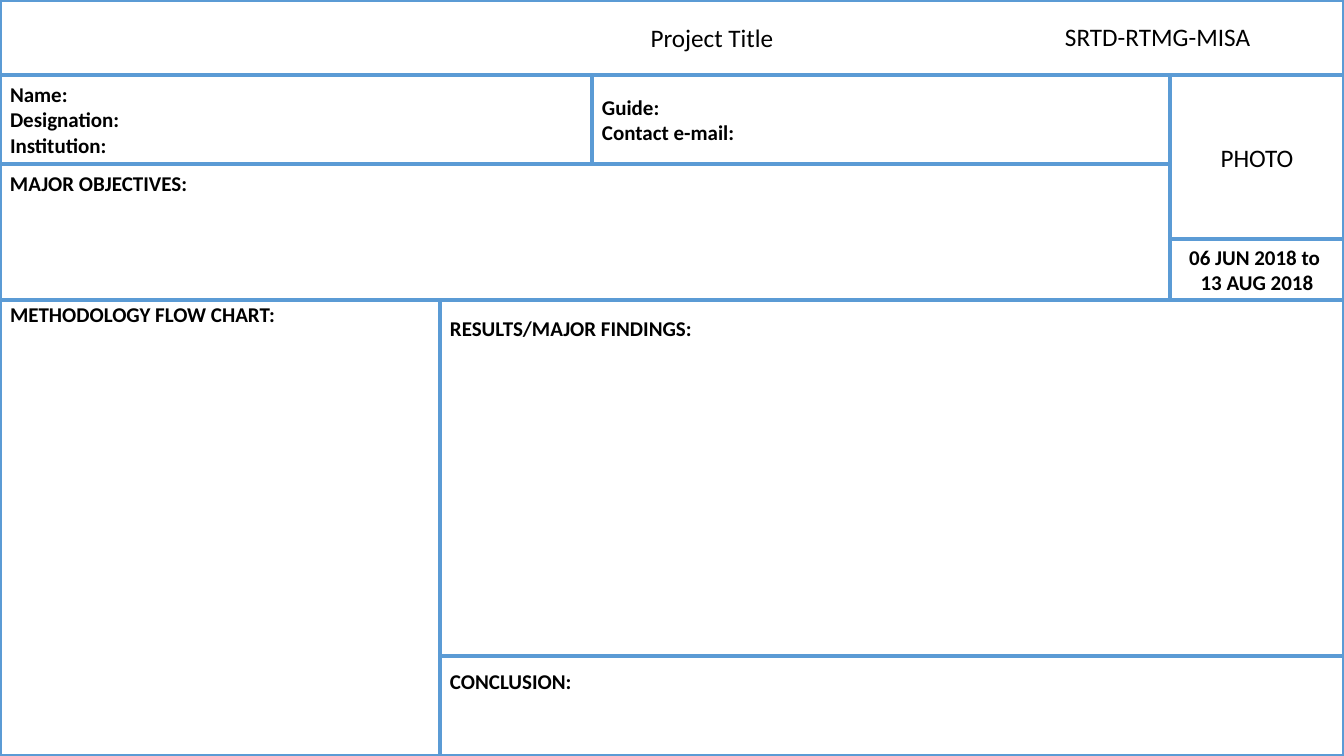
from pptx import Presentation
from pptx.dml.color import RGBColor
from pptx.enum.shapes import MSO_SHAPE as Shape
from pptx.enum.text import MSO_ANCHOR as Anchor, MSO_AUTO_SIZE as AutoSize, PP_ALIGN as Align
from pptx.util import Emu, Pt

PAGE_W, PAGE_H = 1344, 756
SCALE = 12192000 / PAGE_W
INSET = 10
COLORS = {"paper": "FFFFFF", "rule": "5B9BD5", "ink": "000000"}


def px(length):
    return Emu(round(length * SCALE))


def color(name):
    return RGBColor.from_string(COLORS[name])


def place(shape, box):
    shape.left, shape.top, shape.width, shape.height = map(px, box)


def frame(shape):
    """Give a panel its white fill and blue border."""
    shape.fill.solid()
    shape.fill.fore_color.rgb = color("paper")
    shape.line.color.rgb = color("rule")
    shape.line.width = Pt(3)


def write(shape, lines, size=15, bold=True, align=Align.LEFT, anchor=Anchor.MIDDLE,
          left=INSET, top=5, wrap=True):
    text = shape.text_frame
    text.word_wrap = wrap
    text.auto_size = AutoSize.NONE
    text.vertical_anchor = anchor
    text.margin_left, text.margin_right = px(left), px(INSET)
    text.margin_top, text.margin_bottom = px(top), px(5)
    for index, line in enumerate(lines):
        para = text.add_paragraph() if index else text.paragraphs[0]
        para.alignment = align
        span = para.add_run()
        span.text = line
        span.font.name = "Calibri"
        span.font.size = Pt(size)
        span.font.bold = bold
        span.font.color.rgb = color("ink")


def panel(page, box, lines, **style):
    shape = page.shapes.add_shape(Shape.RECTANGLE, *map(px, box))
    shape.shadow.inherit = False
    frame(shape)
    write(shape, lines, **style)


def section(page, box, heading, top):
    """A panel with its heading at the top and room below."""
    panel(page, box, [heading], anchor=Anchor.TOP, top=top)


def header(page, box):
    x, y, width, height = box
    title = page.shapes.title
    place(title, box)
    frame(title)
    write(title, ["Project Title"], size=18, bold=False, align=Align.CENTER, left=90)
    code = page.shapes.add_textbox(*map(px, (x + width - 289, y + 16, 221, 40)))
    write(code, ["SRTD-RTMG-MISA"], size=18, bold=False, anchor=Anchor.TOP)


def details(page, box):
    """Student and guide side by side, objectives beneath."""
    x, y, width, height = box
    student_w, people_h = 592, 89
    panel(page, (x, y, student_w, people_h), ["Name:", "Designation:", "Institution:"])
    section(page, (x, y + people_h, width, height - people_h), "MAJOR OBJECTIVES:", top=6)
    panel(page, (x + student_w, y, width - student_w, people_h), ["Guide:", "Contact e-mail:"])


def photo_column(page, box):
    x, y, width, height = box
    photo_h = 164
    panel(page, (x, y, width, photo_h), ["PHOTO"], size=18, bold=False, align=Align.CENTER)
    panel(page, (x, y + photo_h, width, height - photo_h),
          ["06 JUN 2018 to ", "13 AUG 2018"], align=Align.CENTER)


def findings(page, box):
    """Methodology on the left, results and conclusion on the right."""
    x, y, width, height = box
    method_w, results_h = 440, 356
    right, right_w = x + method_w, width - method_w
    section(page, (x, y, method_w, height), "METHODOLOGY FLOW CHART:", top=2)
    section(page, (right, y, right_w, results_h), "RESULTS/MAJOR FINDINGS:", top=15)
    section(page, (right, y + results_h, right_w, height - results_h), "CONCLUSION:", top=13)


def main():
    deck = Presentation()
    deck.slide_width, deck.slide_height = px(PAGE_W), px(PAGE_H)
    page = deck.slides.add_slide(deck.slide_layouts[5])

    header_h, findings_y, photo_x = 75, 300, 1170
    middle_h = findings_y - header_h
    header(page, (0, 0, PAGE_W, header_h))
    details(page, (0, header_h, photo_x, middle_h))
    photo_column(page, (photo_x, header_h, PAGE_W - photo_x, middle_h))
    findings(page, (0, findings_y, PAGE_W, PAGE_H - findings_y))
    deck.save("out.pptx")


if __name__ == "__main__":
    main()
